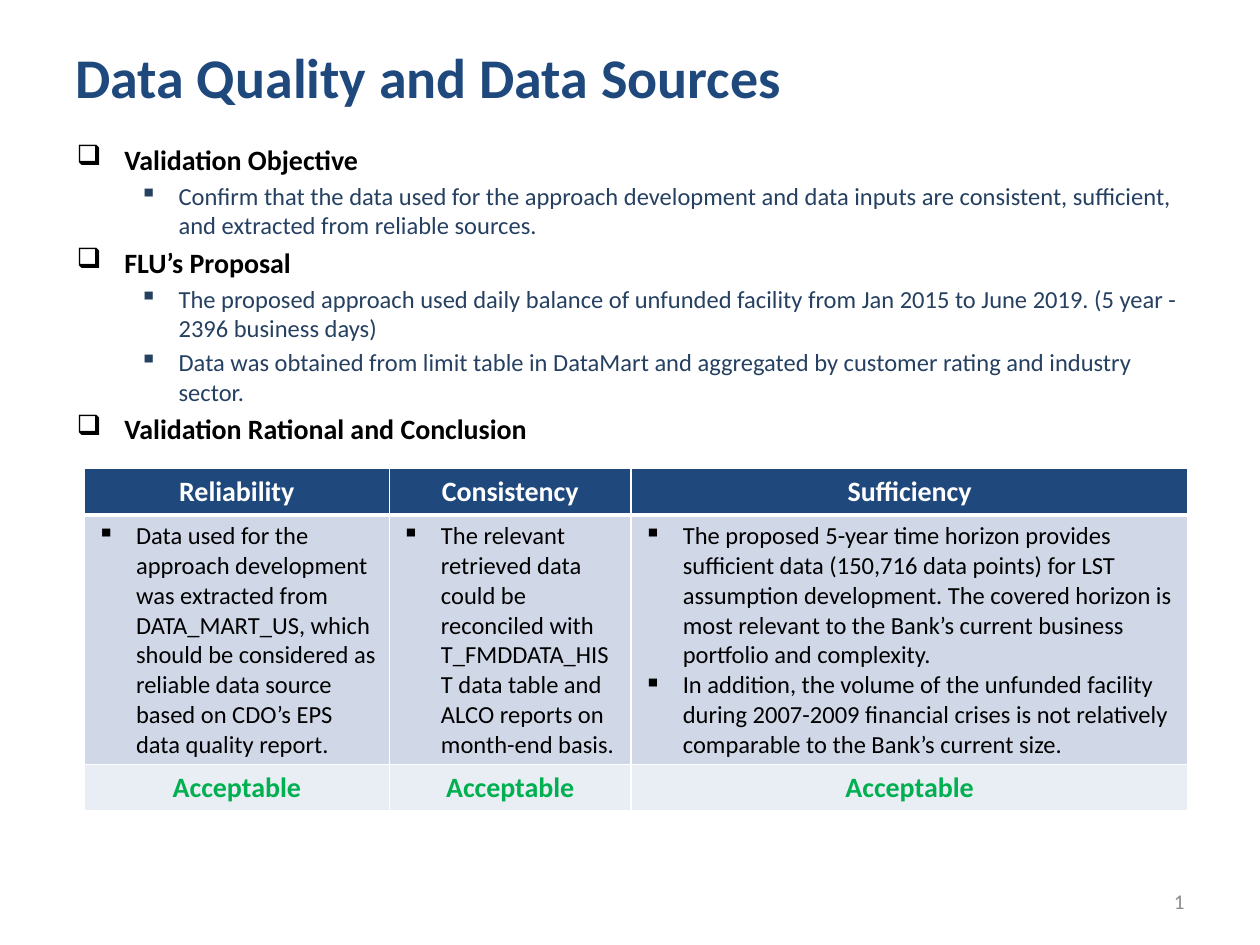
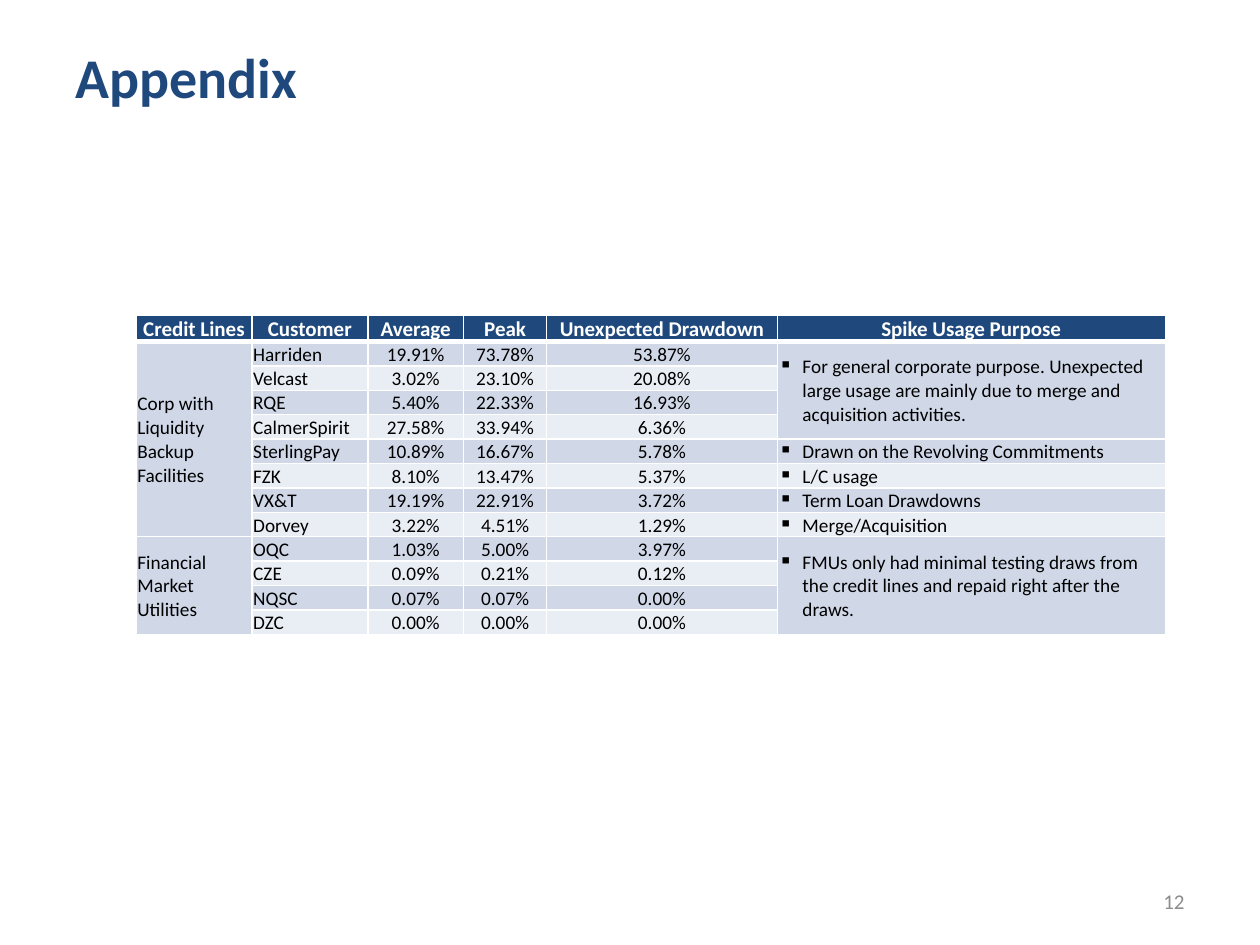
from dataclasses import dataclass

from lxml import etree
from pptx import Presentation
from pptx.dml.color import RGBColor
from pptx.enum.text import MSO_ANCHOR, PP_ALIGN
from pptx.oxml.ns import qn
from pptx.util import Inches, Pt

LEFT, CENTER, RIGHT = PP_ALIGN.LEFT, PP_ALIGN.CENTER, PP_ALIGN.RIGHT
TOP, MIDDLE, BOTTOM = MSO_ANCHOR.TOP, MSO_ANCHOR.MIDDLE, MSO_ANCHOR.BOTTOM


@dataclass(frozen=True)
class Theme:
    font: str = "Calibri"
    navy: str = "1F497D"
    ink: str = "254061"
    black: str = "000000"
    white: str = "FFFFFF"
    gray: str = "8C8C8C"
    green: str = "00B050"
    band_dark: str = "D0D8E8"
    band_light: str = "E9EDF4"
    title: int = 32
    heading: int = 16
    body: int = 14
    small_head: int = 12
    small: int = 11
    page: int = 12


T = Theme()


def write(tf, texts, size, color, bold=False, align=LEFT, bullet=None, margin=0, hang=0):
    """Add one paragraph per text, filling the first paragraph if it is empty."""
    for text in texts:
        p = tf.paragraphs[0] if not tf.text else tf.add_paragraph()
        p.text = text
        p.alignment = align
        font = p.runs[0].font
        font.name, font.size, font.bold = T.font, Pt(size), bold
        font.color.rgb = RGBColor.from_string(color)
        if bullet:
            pPr = p._p.get_or_add_pPr()
            pPr.set("marL", str(Inches(margin)))
            pPr.set("indent", str(-Inches(hang)))
            etree.SubElement(pPr, qn("a:buChar")).set("char", bullet)


def style_cell(cell, row, fill, anchor, tight=False):
    """Fill a cell and give it white borders, thick below the header row."""
    tcPr = cell._tc.get_or_add_tcPr()
    widths = {"L": 1, "R": 1, "T": 3 if row == 1 else 1, "B": 3 if row == 0 else 1}
    for side, width in widths.items():
        ln = etree.SubElement(tcPr, qn(f"a:ln{side}"), w=str(Pt(width)))
        solid = etree.SubElement(ln, qn("a:solidFill"))
        etree.SubElement(solid, qn("a:srgbClr"), val=T.white)
    cell.fill.solid()
    cell.fill.fore_color.rgb = RGBColor.from_string(fill)
    cell.vertical_anchor = anchor
    if tight:
        cell.margin_left = cell.margin_right = cell.margin_top = Inches(0.01)
        cell.margin_bottom = 0


prs = Presentation()
prs.slide_width, prs.slide_height = Inches(10), Inches(7.5)

# Shared title and page number
slides = []
for title, page in [("Data Quality and Data Sources", "1"), ("Appendix", "12")]:
    s = prs.slides.add_slide(prs.slide_layouts[6])
    slides.append(s)
    for text, box, size, color, bold, align in [
        (title, (0.5, 0.3, 9, 0.61), T.title, T.navy, True, LEFT),
        (page, (7.17, 6.95, 2.33, 0.4), T.page, T.gray, False, RIGHT),
    ]:
        tf = s.shapes.add_textbox(*map(Inches, box)).text_frame
        tf.word_wrap = True
        tf.vertical_anchor = MIDDLE
        write(tf, [text], size, color, bold, align)
quality, appendix = slides

# Data quality: outline
outline = [
    ("Validation Objective", [
        "Confirm that the data used for the approach development and data inputs are "
        "consistent, sufficient, and extracted from reliable sources."]),
    ("FLU’s Proposal", [
        "The proposed approach used daily balance of unfunded facility from Jan 2015 to "
        "June 2019. (5 year - 2396 business days)",
        "Data was obtained from limit table in DataMart and aggregated by customer rating "
        "and industry sector."]),
    ("Validation Rational and Conclusion", []),
]
tf = quality.shapes.add_textbox(*map(Inches, (0.51, 1.08, 9, 5.42))).text_frame
tf.word_wrap = True
for heading, points in outline:
    write(tf, [heading], T.heading, T.black, True, bullet="❑", margin=0.38, hang=0.38)
    write(tf, points, T.body, T.ink, bullet="▪", margin=0.81, hang=0.31)
for p in tf.paragraphs:
    p.space_before = Pt(p.runs[0].font.size.pt * 0.2)

# Data quality: assessment table
assessments = [
    ("Reliability", 2.42, [
        "Data used for the approach development was extracted from DATA_MART_US, which should "
        "be considered as reliable data source based on CDO’s EPS data quality report."]),
    ("Consistency", 1.92, [
        "The relevant retrieved data could be reconciled with T_FMDDATA_HIST data table and "
        "ALCO reports on month-end basis."]),
    ("Sufficiency", 4.42, [
        "The proposed 5-year time horizon provides sufficient data (150,716 data points) for "
        "LST assumption development. The covered horizon is most relevant to the Bank’s "
        "current business portfolio and complexity.",
        "In addition, the volume of the unfunded facility during 2007-2009 financial crises "
        "is not relatively comparable to the Bank’s current size."]),
]
table = quality.shapes.add_table(3, 3, *map(Inches, (0.67, 3.72, 8.75, 2.7))).table
for row, height in zip(table.rows, (0.36, 1.98, 0.36)):
    row.height = Inches(height)
for c, (criterion, width, findings) in enumerate(assessments):
    table.columns[c].width = Inches(width)
    for r, fill in enumerate((T.navy, T.band_dark, T.band_light)):
        style_cell(table.cell(r, c), r, fill, TOP)
    head, detail, verdict = (table.cell(r, c).text_frame for r in range(3))
    write(head, [criterion], T.heading, T.white, True, CENTER)
    write(detail, findings, T.body, T.black, bullet="▪", margin=0.31, hang=0.31)
    write(verdict, ["Acceptable"], T.heading, T.green, True, CENTER)

# Appendix: drawdown table
columns = [("Credit Lines", 0.92), ("Customer", 0.92), ("Average", 0.76), ("Peak", 0.66),
           ("Unexpected Drawdown", 1.83), ("Spike Usage Purpose", 3.08)]
customers = [
    ("Harriden", 19.91, 73.78), ("Velcast", 3.02, 23.10), ("RQE", 5.40, 22.33),
    ("CalmerSpirit", 27.58, 33.94), ("SterlingPay", 10.89, 16.67), ("FZK", 8.10, 13.47),
    ("VX&T", 19.19, 22.91), ("Dorvey", 3.22, 4.51), ("OQC", 1.03, 5.00),
    ("CZE", 0.09, 0.21), ("NQSC", 0.07, 0.07), ("DZC", 0.00, 0.00),
]
# First row, number of rows, text
credit_lines = [(1, 8, "Corp with Liquidity Backup Facilities"),
                (9, 4, "Financial Market Utilities")]
purposes = [
    (1, 4, "For general corporate purpose. Unexpected large usage are mainly due to merge "
           "and acquisition activities."),
    (5, 1, "Drawn on the Revolving Commitments"),
    (6, 1, "L/C usage"),
    (7, 1, "Term Loan Drawdowns"),
    (8, 1, "Merge/Acquisition"),
    (9, 4, "FMUs only had minimal testing draws from the credit lines and repaid right after "
           "the draws."),
]
row_count, last = len(customers) + 1, len(columns) - 1
table = appendix.shapes.add_table(
    row_count, len(columns), *map(Inches, (1.08, 2.5, 8.17, 2.51))).table
for row in table.rows:
    row.height = Inches(0.19)
for c, (name, width) in enumerate(columns):
    table.columns[c].width = Inches(width)
    write(table.cell(0, c).text_frame, [name], T.small_head, T.white, True, CENTER)

for c, groups in [(0, credit_lines), (last, purposes)]:
    for first, span, text in groups:
        cell = table.cell(first, c)
        if span > 1:
            cell.merge(table.cell(first + span - 1, c))
        write(cell.text_frame, [text], T.small, T.black,
              bullet="▪" if c == last else None, margin=0.19, hang=0.19)

for r, (name, average, peak) in enumerate(customers, 1):
    write(table.cell(r, 1).text_frame, [name], T.small, T.black)
    for c, value in enumerate((average, peak, peak - average), 2):
        write(table.cell(r, c).text_frame, [f"{value:.2f}%"], T.small, T.black, align=CENTER)

for r in range(row_count):
    fill = T.navy if r == 0 else T.band_dark if r % 2 else T.band_light
    for c in range(len(columns)):
        cell = table.cell(r, c)
        if not cell.is_spanned:
            anchor = MIDDLE if r and c in (0, last) else BOTTOM
            style_cell(cell, r, fill, anchor, tight=True)

prs.save("out.pptx")
